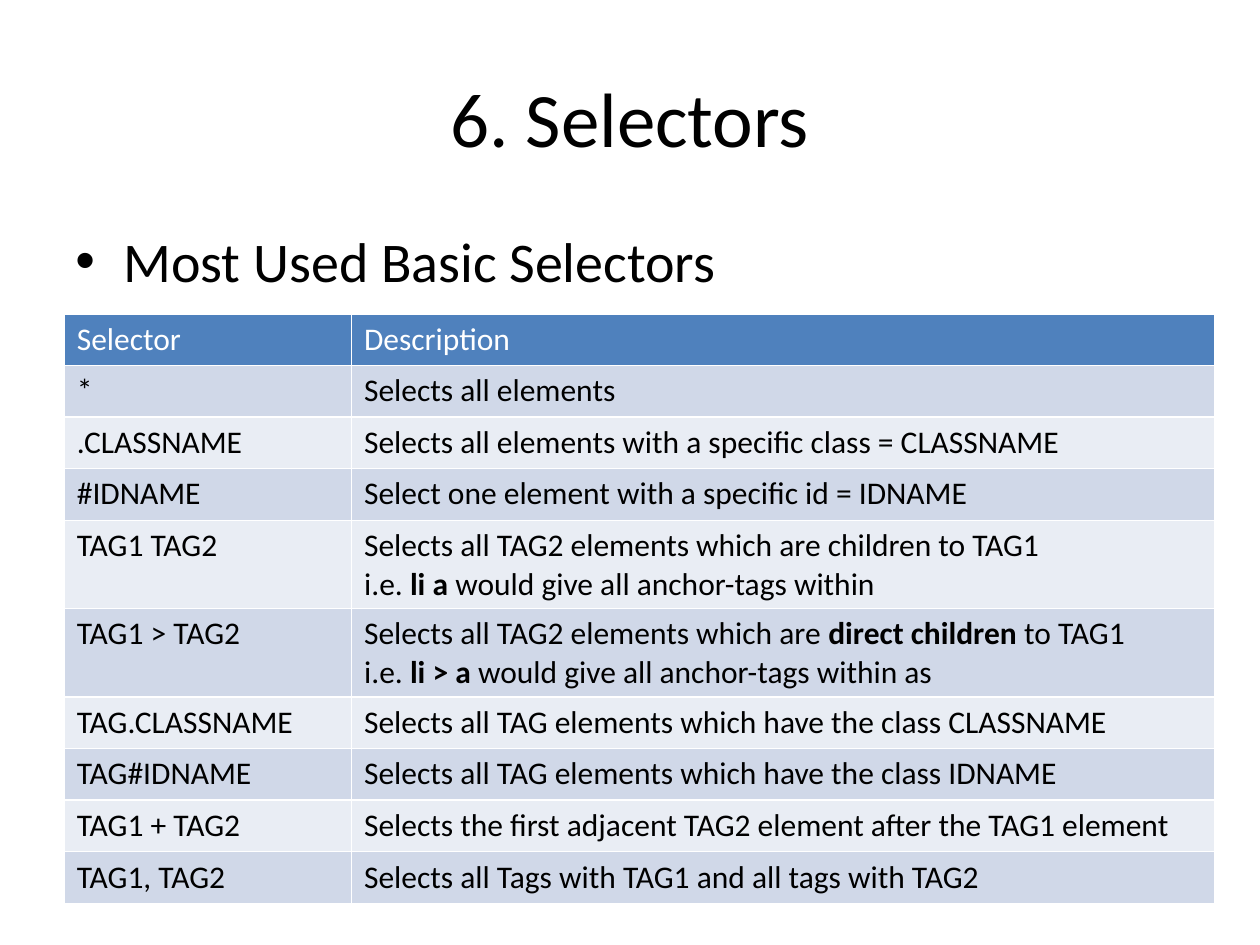
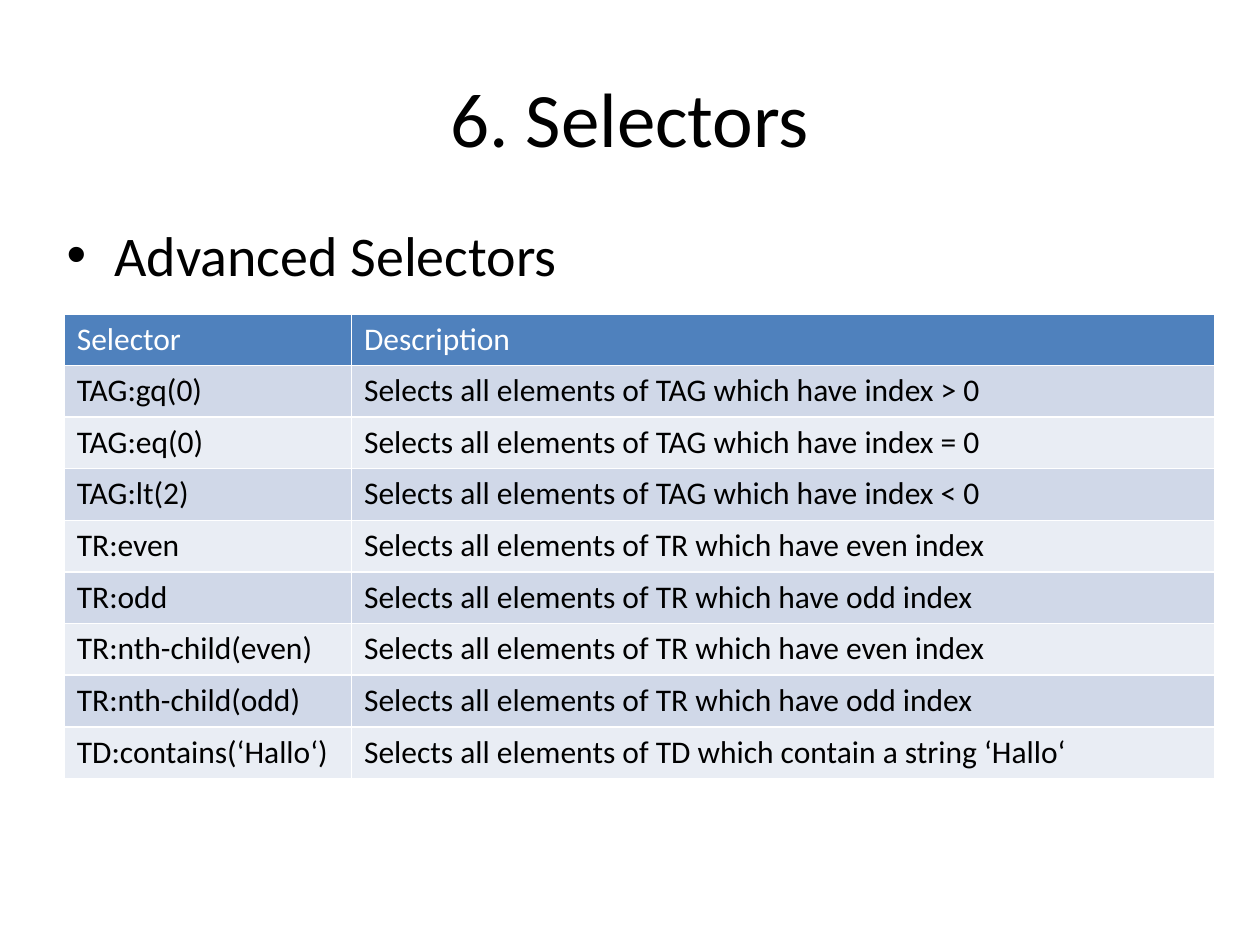
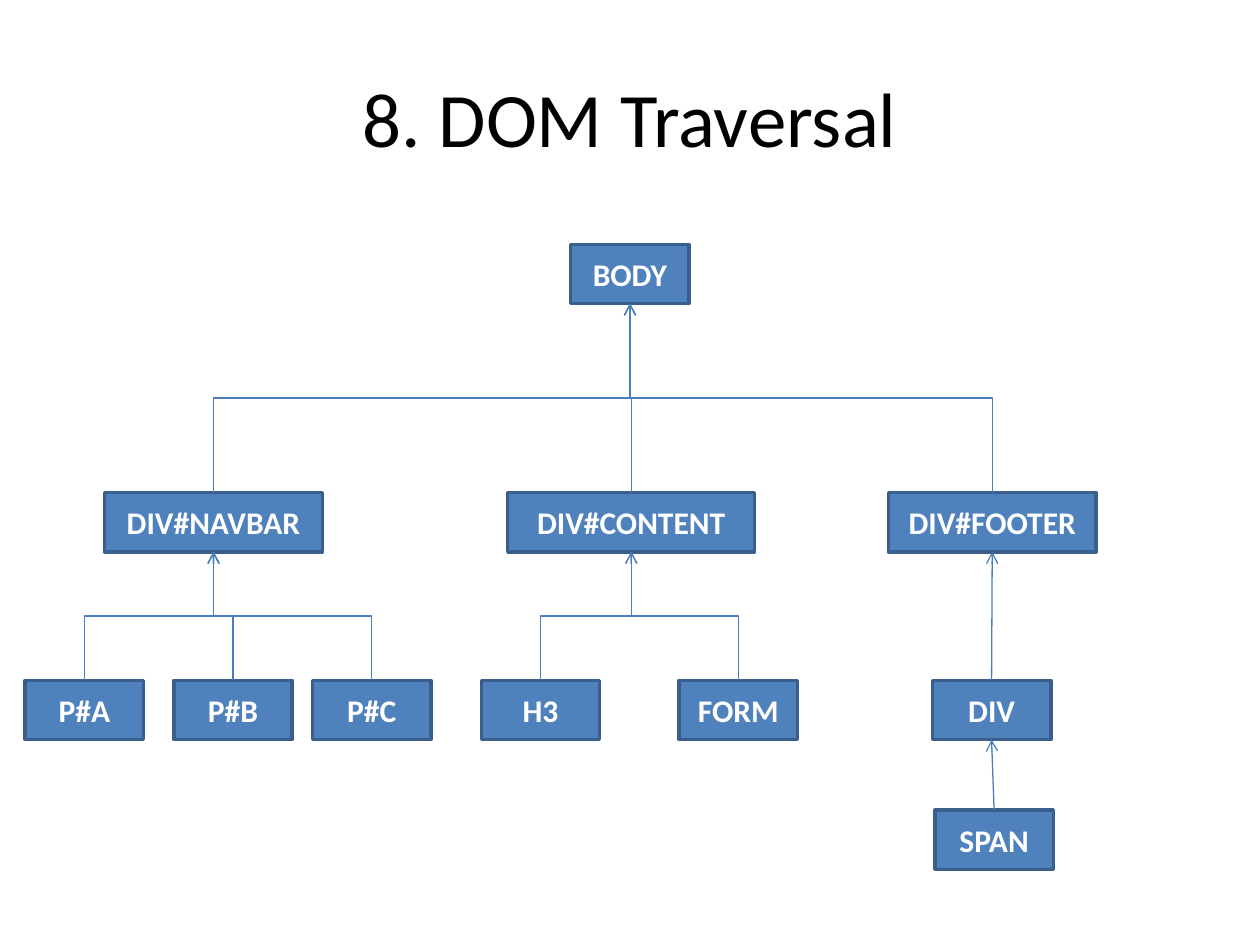
"""Build three slides on selectors and DOM traversal."""
import dataclasses

import lxml.etree
import pptx
import pptx.dml.color
import pptx.enum.shapes
import pptx.enum.text
import pptx.oxml.ns
import pptx.util

Inches = pptx.util.Inches
Pt = pptx.util.Pt
qn = pptx.oxml.ns.qn


@dataclasses.dataclass(frozen=True)
class Theme:
    font: str = "Calibri"
    ink: str = "000000"
    paper: str = "FFFFFF"
    accent: str = "4F81BD"
    outline: str = "3A5F8C"
    arrow: str = "4B7EBC"
    bands: tuple = ("D0D8E8", "E9EDF4")
    title_size: int = 44
    topic_size: int = 32
    label_size: int = 18


THEME = Theme()

HEADINGS = ("Selector", "Description")
SELECTOR_SLIDES = [
    {
        "title": "6. Selectors",
        "topic": "Most Used Basic Selectors",
        "topic_box": (0.5, 1.75, 9, 0.58),
        "rows": [
            ("*", "Selects all elements"),
            (".CLASSNAME", "Selects all elements with a specific class = CLASSNAME"),
            ("#IDNAME", "Select one element with a specific id = IDNAME"),
            ("TAG1 TAG2", "Selects all TAG2 elements which are children to TAG1\n"
             "i.e. **li a **would give all anchor-tags within"),
            ("TAG1 > TAG2", "Selects all TAG2 elements which are **direct children **to TAG1\n"
             "i.e. **li > a** would give all anchor-tags within as"),
            ("TAG.CLASSNAME", "Selects all TAG elements which have the class CLASSNAME"),
            ("TAG#IDNAME", "Selects all TAG elements which have the class IDNAME"),
            ("TAG1 + TAG2", "Selects the first adjacent TAG2 element after the TAG1 element"),
            ("TAG1, TAG2", "Selects all Tags with TAG1 and all tags with TAG2"),
        ],
    },
    {
        "title": "6. Selectors",
        "topic": "Advanced Selectors",
        "topic_box": (0.43, 1.7, 9, 4.95),
        "rows": [
            ("TAG:gq(0)", "Selects all elements of TAG which have index > 0"),
            ("TAG:eq(0)", "Selects all elements of TAG which have index = 0"),
            ("TAG:lt(2)", "Selects all elements of TAG which have index < 0"),
            ("TR:even", "Selects all elements of TR which have even index"),
            ("TR:odd", "Selects all elements of TR which have odd index"),
            ("TR:nth-child(even)", "Selects all elements of TR which have even index"),
            ("TR:nth-child(odd)", "Selects all elements of TR which have odd index"),
            ("TD:contains(‘Hallo‘)", "Selects all elements of TD which contain a string ‘Hallo‘"),
        ],
    },
]

TREE_TITLE = "8. DOM Traversal"
LEVEL_TOPS = (1.94, 3.91, 5.4, 6.43)
NODE_WIDTH, NODE_HEIGHT = 0.94, 0.47
WIDE_NODES = {"DIV#NAVBAR": 1.73, "DIV#CONTENT": 1.96, "DIV#FOOTER": 1.65}
TREE = [
    ("BODY", None, 0, 4.53),
    ("DIV#NAVBAR", "BODY", 1, 0.83),
    ("DIV#CONTENT", "BODY", 1, 4.03),
    ("DIV#FOOTER", "BODY", 1, 7.05),
    ("P#A", "DIV#NAVBAR", 2, 0.2),
    ("P#B", "DIV#NAVBAR", 2, 1.38),
    ("P#C", "DIV#NAVBAR", 2, 2.48),
    ("H3", "DIV#CONTENT", 2, 3.82),
    ("FORM", "DIV#CONTENT", 2, 5.39),
    ("DIV", "DIV#FOOTER", 2, 7.4),
    ("SPAN", "DIV", 3, 7.42),
]
STRAIGHT = {"DIV", "SPAN"}

TABLE_LEFT, TABLE_TOP = 0.51, 2.49
COLUMN_WIDTHS = (2.28, 6.85)
ROW_HEIGHT = 0.41


def rgb(color):
    return pptx.dml.color.RGBColor.from_string(color)


def write(paragraph, text, size, color, bold=False):
    for index, part in enumerate(text.split("**")):
        if part:
            run = paragraph.add_run()
            run.text = part
            run.font.name = THEME.font
            run.font.size = Pt(size)
            run.font.color.rgb = rgb(color)
            run.font.bold = bold or index % 2 == 1


def add_text_frame(slide, box):
    frame = slide.shapes.add_textbox(*map(Inches, box)).text_frame
    frame.word_wrap = True
    return frame


def add_titled_slide(deck, title):
    slide = deck.slides.add_slide(deck.slide_layouts[6])
    frame = add_text_frame(slide, (0.5, 0.3, 9, 1.25))
    frame.vertical_anchor = pptx.enum.text.MSO_ANCHOR.MIDDLE
    heading = frame.paragraphs[0]
    heading.alignment = pptx.enum.text.PP_ALIGN.CENTER
    write(heading, title, THEME.title_size, THEME.ink)
    return slide


def add_topic(slide, topic, box):
    paragraph = add_text_frame(slide, box).paragraphs[0]
    properties = paragraph._p.get_or_add_pPr()
    properties.set("marL", str(Inches(0.38)))
    properties.set("indent", str(-Inches(0.38)))
    lxml.etree.SubElement(properties, qn("a:buFont")).set("typeface", "Arial")
    lxml.etree.SubElement(properties, qn("a:buChar")).set("char", "•")
    write(paragraph, topic, THEME.topic_size, THEME.ink)


def style_cell(cell, text, fill, color):
    for index, line in enumerate(text.split("\n")):
        frame = cell.text_frame
        paragraph = frame.add_paragraph() if index else frame.paragraphs[0]
        write(paragraph, line, THEME.label_size, color)
    properties = cell._tc.get_or_add_tcPr()
    for side in ("lnL", "lnR", "lnT", "lnB"):
        border = lxml.etree.SubElement(properties, qn(f"a:{side}"), w=str(Pt(1)))
        solid = lxml.etree.SubElement(border, qn("a:solidFill"))
        lxml.etree.SubElement(solid, qn("a:srgbClr")).set("val", THEME.paper)
    cell.fill.solid()
    cell.fill.fore_color.rgb = rgb(fill)


def add_selector_table(slide, rows):
    lines = [HEADINGS, *rows]
    table = slide.shapes.add_table(
        len(lines), len(HEADINGS), Inches(TABLE_LEFT), Inches(TABLE_TOP),
        Inches(sum(COLUMN_WIDTHS)), Inches(ROW_HEIGHT * len(lines))).table
    for column, width in zip(table.columns, COLUMN_WIDTHS):
        column.width = Inches(width)
    for row, line in enumerate(lines):
        table.rows[row].height = Inches(ROW_HEIGHT)
        fill = THEME.bands[(row - 1) % 2] if row else THEME.accent
        color = THEME.ink if row else THEME.paper
        for column, text in enumerate(line):
            style_cell(table.cell(row, column), text, fill, color)


def add_node(slide, label, level, left):
    node = slide.shapes.add_shape(
        pptx.enum.shapes.MSO_SHAPE.RECTANGLE, Inches(left), Inches(LEVEL_TOPS[level]),
        Inches(WIDE_NODES.get(label, NODE_WIDTH)), Inches(NODE_HEIGHT))
    node.shadow.inherit = False
    node.fill.solid()
    node.fill.fore_color.rgb = rgb(THEME.accent)
    node.line.color.rgb = rgb(THEME.outline)
    node.line.width = Pt(2)
    frame = node.text_frame
    frame.margin_left = frame.margin_right = 0
    frame.vertical_anchor = pptx.enum.text.MSO_ANCHOR.MIDDLE
    frame.paragraphs[0].alignment = pptx.enum.text.PP_ALIGN.CENTER
    write(frame.paragraphs[0], label, THEME.label_size, THEME.paper, bold=True)
    return node


def turn_upright(link):
    rightward = link.end_x > link.begin_x
    middle_x = (link.begin_x + link.end_x) // 2
    middle_y = (link.begin_y + link.end_y) // 2
    link.width, link.height = link.height, link.width
    link.left = middle_x - link.width // 2
    link.top = middle_y - link.height // 2
    frame = link._element.spPr.find(qn("a:xfrm"))
    frame.set("rot", str((90 if rightward else 270) * 60000))
    frame.set("flipH", "1" if rightward else "0")
    frame.set("flipV", "1")


def link_to_parent(slide, child, parent, straight):
    kinds = pptx.enum.shapes.MSO_CONNECTOR
    link = slide.shapes.add_connector(
        kinds.STRAIGHT if straight else kinds.ELBOW,
        child.left + child.width // 2, child.top,
        parent.left + parent.width // 2, parent.top + parent.height)
    link.begin_connect(child, 0)
    link.end_connect(parent, 2)
    if not straight:
        turn_upright(link)
    link.line.color.rgb = rgb(THEME.arrow)
    link.line.width = Pt(0.75)
    lxml.etree.SubElement(link.line._get_or_add_ln(), qn("a:tailEnd")).set("type", "arrow")
    lxml.etree.SubElement(link._element.spPr, qn("a:effectLst"))


def add_tree(slide):
    nodes = {label: add_node(slide, label, level, left) for label, _, level, left in TREE}
    for label, parent, _, _ in TREE:
        if parent:
            link_to_parent(slide, nodes[label], nodes[parent], label in STRAIGHT)


def main():
    deck = pptx.Presentation()
    deck.slide_width, deck.slide_height = Inches(10), Inches(7.5)
    for content in SELECTOR_SLIDES:
        slide = add_titled_slide(deck, content["title"])
        add_topic(slide, content["topic"], content["topic_box"])
        add_selector_table(slide, content["rows"])
    add_tree(add_titled_slide(deck, TREE_TITLE))
    deck.save("out.pptx")


if __name__ == "__main__":
    main()
